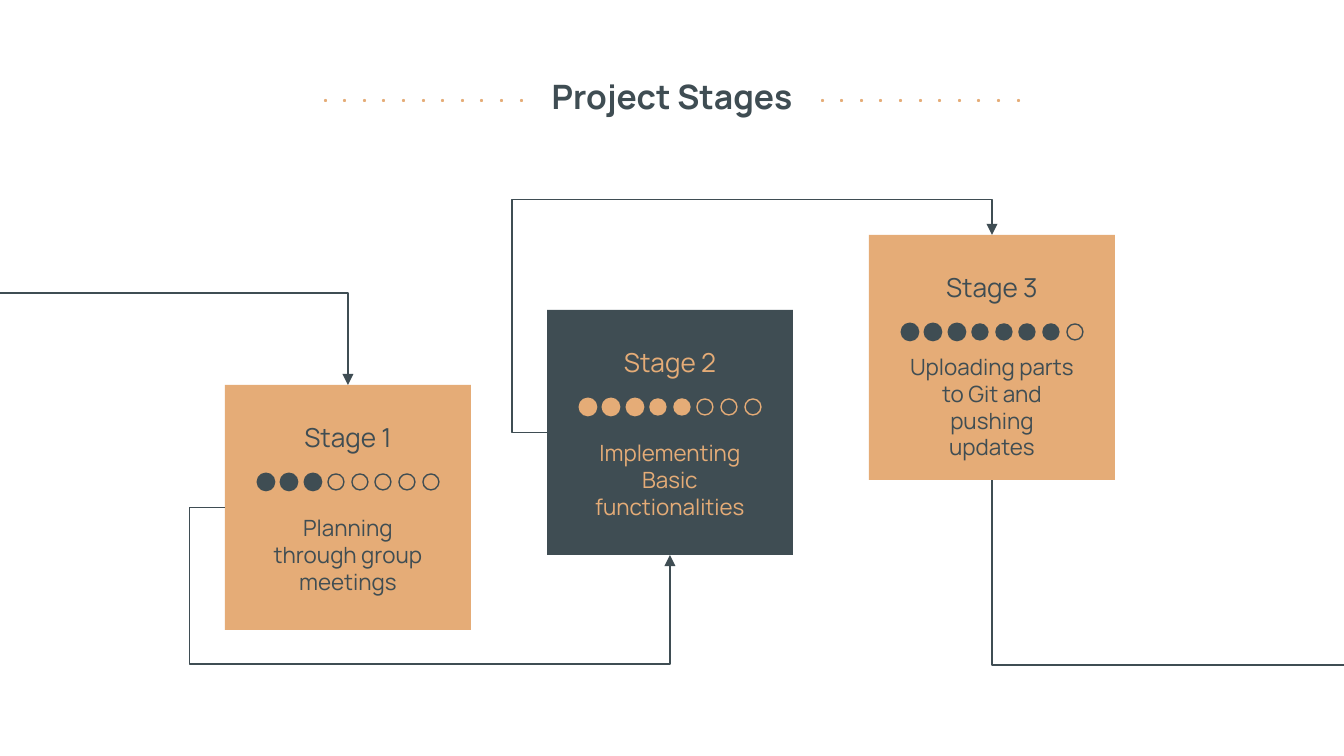
from dataclasses import dataclass

from lxml.etree import SubElement
from pptx import Presentation
from pptx.dml.color import RGBColor
from pptx.enum.shapes import MSO_CONNECTOR, MSO_SHAPE
from pptx.enum.text import MSO_ANCHOR, MSO_AUTO_SIZE, PP_ALIGN
from pptx.oxml.ns import qn
from pptx.util import Pt

EMU_PER_PX = 914400 / 134.4
TOP, LEFT, BOTTOM = 0, 1, 2  # connection sites of a rectangle


def px(n):
    return round(n * EMU_PER_PX)


@dataclass(frozen=True)
class Theme:
    font: str = "Manrope"
    dark: RGBColor = RGBColor(0x3F, 0x4D, 0x53)
    sand: RGBColor = RGBColor(0xE5, 0xAC, 0x77)
    title: Pt = Pt(18)
    heading: Pt = Pt(14)
    body: Pt = Pt(12)
    thin: Pt = Pt(0.75)
    thick: Pt = Pt(1.5)


class Deck:
    def __init__(self, slide, theme):
        self.s, self.theme = slide, theme

    def set_text(self, sp, text, size, color, anchor, bold=False, after=0):
        tf = sp.text_frame
        tf.word_wrap, tf.auto_size = True, MSO_AUTO_SIZE.NONE
        tf.vertical_anchor = anchor
        tf.margin_left = tf.margin_right = tf.margin_top = tf.margin_bottom = px(13)
        p = tf.paragraphs[0]
        p.text, p.alignment = text, PP_ALIGN.CENTER
        p.space_after = Pt(after)
        p.font.name, p.font.size, p.font.bold = self.theme.font, size, bold
        p.font.color.rgb = color

    def title(self, text, x, y, w, h):
        sp = self.s.shapes.title
        sp.left, sp.top, sp.width, sp.height = map(px, (x, y, w, h))
        self.set_text(sp, text, self.theme.title, self.theme.dark, MSO_ANCHOR.TOP, bold=True)

    def text(self, text, x, y, w, h, size, color, anchor=MSO_ANCHOR.TOP, after=0):
        sp = self.s.shapes.add_textbox(*map(px, (x, y, w, h)))
        self.set_text(sp, text, size, color, anchor, after=after)

    def shape(self, kind, x, y, w, h, fill=None, line=None, weight=None, parent=None):
        sp = (parent or self.s).shapes.add_shape(kind, *map(px, (x, y, w, h)))
        sp.shadow.inherit = False
        if fill is None:
            sp.fill.background()
        else:
            sp.fill.solid()
            sp.fill.fore_color.rgb = fill
        if line is None:
            sp.line.fill.background()
        else:
            sp.line.color.rgb, sp.line.width = line, weight
        return sp

    def dotted_rule(self, x, y, count=11, span=196, size=3):
        group = self.s.shapes.add_group_shape()
        for i in range(count):
            self.shape(MSO_SHAPE.OVAL, x + span * i // (count - 1), y, size, size,
                       fill=self.theme.sand, parent=group)

    def progress(self, x, y, done, color, count=8, span=165, size=16):
        group = self.s.shapes.add_group_shape()
        for i in range(count):
            self.shape(MSO_SHAPE.OVAL, x + span * i // (count - 1), y, size, size,
                       fill=color if i < done else None, line=color,
                       weight=self.theme.thick if i < min(done, 3) else self.theme.thin,
                       parent=group)

    def elbow(self, start, end, begin_at=None, end_at=None, via=None, arrow=True):
        """Horizontal-first elbow; via is the corner (x, y) of a three-bend route."""
        c = self.s.shapes.add_connector(MSO_CONNECTOR.ELBOW, *map(px, start + end))
        if begin_at:
            c.begin_connect(*begin_at)
        if end_at:
            c.end_connect(*end_at)
        c.line.color.rgb, c.line.width = self.theme.dark, self.theme.thin
        sp_pr = c.element.spPr
        geom = sp_pr.find(qn("a:prstGeom"))
        geom.set("prst", "bentConnector4" if via else "bentConnector2")
        if via:
            guides = geom.find(qn("a:avLst"))
            if guides is None:
                guides = SubElement(geom, qn("a:avLst"))
            for i, (a, v, b) in enumerate(zip(start, via, end), 1):
                ratio = round(100000 * (v - a) / (b - a))
                SubElement(guides, qn("a:gd"), name=f"adj{i}", fmla=f"val {ratio}")
        if arrow:
            SubElement(sp_pr.find(qn("a:ln")), qn("a:tailEnd"), type="triangle")
        SubElement(sp_pr, qn("a:effectLst"))


def main():
    prs = Presentation()
    prs.slide_width, prs.slide_height = px(1344), px(756)
    theme = Theme()
    deck = Deck(prs.slides.add_slide(prs.slide_layouts[5]), theme)

    # Title between two dotted rules
    deck.title("Project Stages", 250, 63, 844, 70)
    for x in (324, 821):
        deck.dotted_rule(x, 99)

    # Stage cards, rising from left to right: text, body offset, done, fill, ink
    stages = [
        ("Planning through group meetings", 116, 3, theme.sand, theme.dark),
        ("Implementing Basic functionalities", 116, 5, theme.dark, theme.sand),
        ("Uploading parts to Git and pushing updates", 105, 7, theme.sand, theme.dark),
    ]
    card_w, card_h = 246, 245
    corners = [(225 + 322 * i, 385 - 75 * i) for i in range(len(stages))]
    cards = [deck.shape(MSO_SHAPE.RECTANGLE, x, y, card_w, card_h, fill=stage[3])
             for (x, y), stage in zip(corners, stages)]

    # Flow from the left edge through the stages to the right edge
    tops = [(x + card_w // 2, y) for x, y in corners]
    bottoms = [(x, y + card_h) for x, y in tops]
    lefts = [(x, y + card_h // 2) for x, y in corners]
    one, two, three = cards
    deck.elbow((-13, 293), tops[0], end_at=(one, TOP))
    deck.elbow(lefts[0], bottoms[1], (one, LEFT), (two, BOTTOM), via=(190, 665))
    deck.elbow(lefts[1], tops[2], (two, LEFT), (three, TOP), via=(512, 200))
    deck.elbow((1382, 665), bottoms[2], end_at=(three, BOTTOM), arrow=False)

    # Card contents
    for n, ((x, y), stage) in enumerate(zip(corners, stages), 1):
        body, body_y, done, _, ink = stage
        deck.text(f"Stage {n}", x + 21, y + 27, 204, 51, theme.heading, ink,
                  MSO_ANCHOR.MIDDLE)
        deck.text(body, x + 24, y + body_y, 198, 91, theme.body, ink, after=16)
        deck.progress(x + 33, y + 89, done, ink)

    prs.save("out.pptx")


if __name__ == "__main__":
    main()
